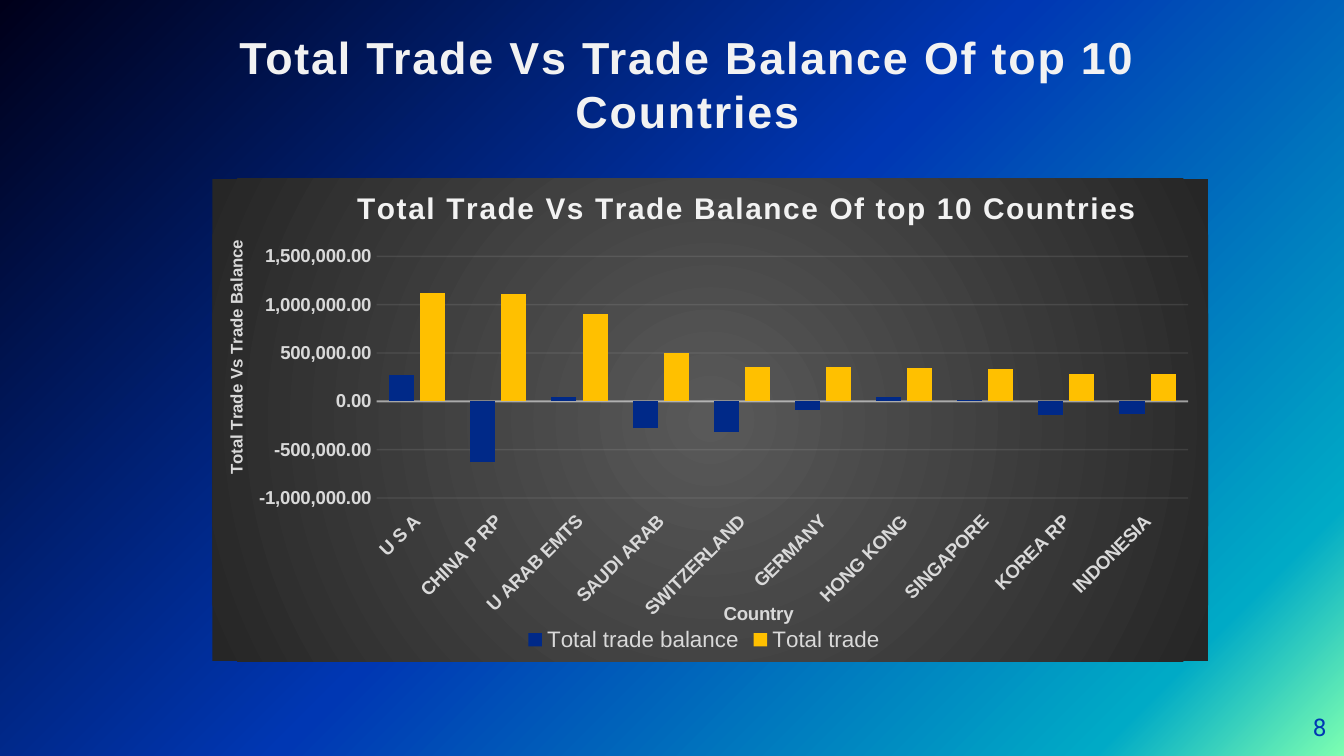
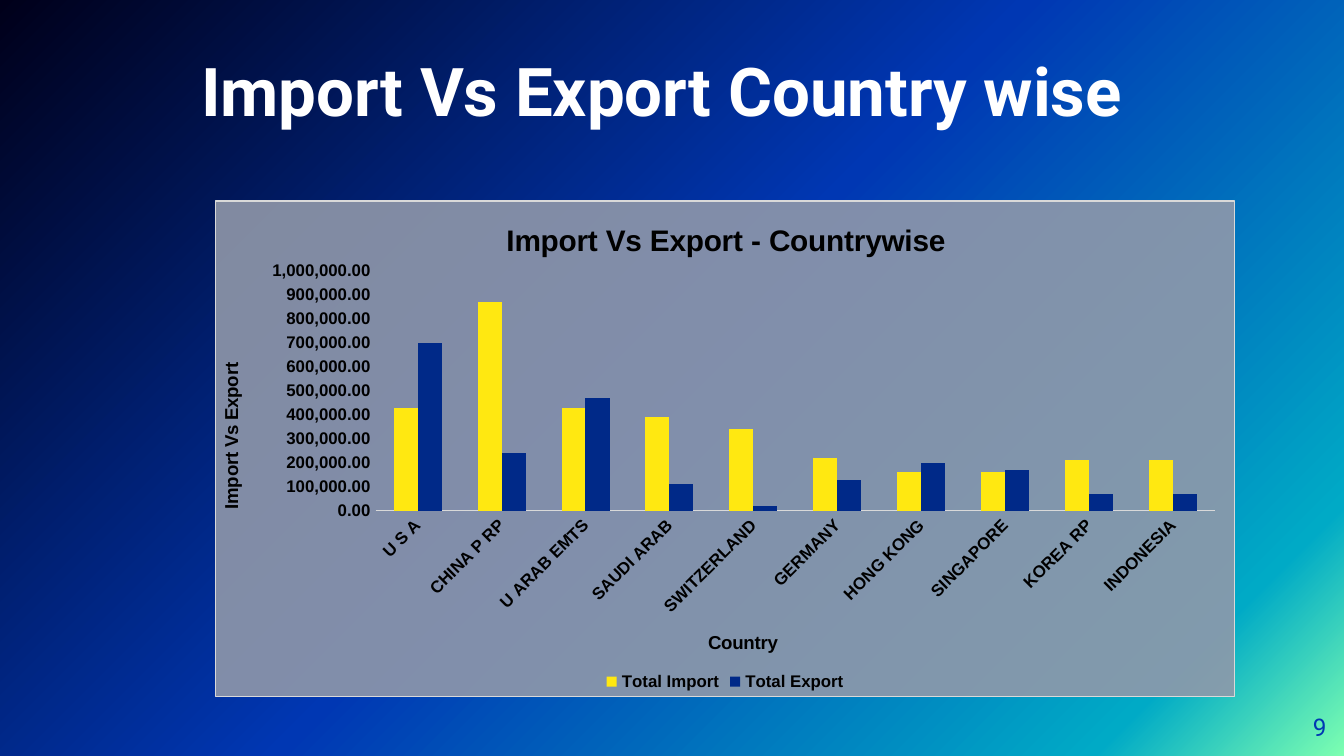
"""Build two slides of column charts that compare trade by country."""

from pptx import Presentation
from pptx.chart.data import CategoryChartData
from pptx.dml.color import RGBColor
from pptx.enum.chart import XL_CHART_TYPE as ChartType
from pptx.enum.chart import XL_LEGEND_POSITION as LegendPosition
from pptx.enum.chart import XL_TICK_LABEL_POSITION as LabelPosition
from pptx.enum.chart import XL_TICK_MARK as TickMark
from pptx.enum.text import MSO_ANCHOR as Anchor
from pptx.enum.text import MSO_AUTO_SIZE as AutoSize
from pptx.enum.text import PP_ALIGN as Align
from pptx.oxml import parse_xml
from pptx.oxml.ns import nsdecls, qn
from pptx.util import Emu, Pt

PX = 4572

WHITE = RGBColor(0xFF, 0xFF, 0xFF)
BLACK = RGBColor(0x00, 0x00, 0x00)
PALE = RGBColor(0xF2, 0xF2, 0xF2)
SILVER = RGBColor(0xD9, 0xD9, 0xD9)
GREY = RGBColor(0x59, 0x59, 0x59)
CHARCOAL = RGBColor(0x26, 0x26, 0x26)
SLATE = RGBColor(0x91, 0x99, 0xAA)
MINT = RGBColor(0x7D, 0xFF, 0xB1)
TEAL = RGBColor(0x00, 0xAA, 0xC6)
BLUE = RGBColor(0x00, 0x37, 0xB3)
NAVY = RGBColor(0x00, 0x29, 0x88)
MIDNIGHT = RGBColor(0x00, 0x00, 0x1A)
AMBER = RGBColor(0xFF, 0xC0, 0x00)
YELLOW = RGBColor(0xFF, 0xE8, 0x11)

COUNTRIES = ["U S A", "CHINA P RP", "U ARAB EMTS", "SAUDI ARAB", "SWITZERLAND",
             "GERMANY", "HONG KONG", "SINGAPORE", "KOREA RP", "INDONESIA"]
NUMBER_FORMAT = "#,##0.00"
LINEAR = '<a:lin ang="13500000" scaled="0"/>'
RADIAL = ('<a:path path="circle"><a:fillToRect l="50000" t="50000" '
          'r="50000" b="50000"/></a:path>')


def px(*lengths):
    return [Emu(length * PX) for length in lengths]


def format_font(font, size, color, bold=False, name="Arial"):
    font.size = Pt(size)
    font.color.rgb = color
    font.bold = bold
    font.name = name


def write_text(frame, text, align=Align.CENTER, spacing=0, **font):
    paragraph = frame.paragraphs[0]
    paragraph.alignment = align
    run = paragraph.add_run()
    run.text = text
    format_font(run.font, **font)
    if spacing:
        run.font._element.set("spc", str(spacing * 100))


def gradient_fill(stops, direction):
    marks = "".join(
        f'<a:gs pos="{position * 1000}"><a:srgbClr val="{color}"/></a:gs>'
        for position, color in stops)
    return parse_xml(f'<a:gradFill {nsdecls("a")} rotWithShape="1">'
                     f'<a:gsLst>{marks}</a:gsLst>{direction}</a:gradFill>')


def solid_fill(color, opacity=100):
    return parse_xml(f'<a:solidFill {nsdecls("a")}><a:srgbClr val="{color}">'
                     f'<a:alpha val="{opacity * 1000}"/></a:srgbClr></a:solidFill>')


def place(element, x, y, width=None, height=None):
    """Give a chart part a manual layout in fractions of the chart area."""
    for layout in element.findall(qn("c:layout")):
        element.remove(layout)
    values = {"xMode": "edge", "yMode": "edge", "x": x, "y": y}
    if width:
        values = {"layoutTarget": "inner", **values, "w": width, "h": height}
    parts = "".join(f'<c:{tag} val="{value}"/>' for tag, value in values.items())
    layout = parse_xml(f'<c:layout {nsdecls("c")}><c:manualLayout>{parts}'
                       '</c:manualLayout></c:layout>')
    element.insert(len(element.xpath("c:tx | c:legendPos")), layout)


class Deck:
    """Holds the shared style and the current slide."""

    def __init__(self):
        self.presentation = Presentation()
        self.presentation.slide_width, self.presentation.slide_height = px(2000, 1125)
        self.slide = None
        master = self.presentation.slide_master
        master.background.fill.solid()
        properties = master.element.find(".//" + qn("p:bgPr"))
        stops = [(0, MINT), (12, TEAL), (51, BLUE), (100, MIDNIGHT)]
        properties.replace(properties[0], gradient_fill(stops, LINEAR))

    def add_slide(self, number):
        layout = self.presentation.slide_layouts[5]
        self.slide = self.presentation.slides.add_slide(layout)
        box = self.slide.shapes.add_textbox(*px(1854, 1038, 120, 86))
        self.set_frame(box.text_frame, Anchor.MIDDLE)
        write_text(box.text_frame, str(number), align=Align.RIGHT,
                   size=13, color=BLUE, name="Roboto")

    def set_frame(self, frame, anchor, inset=0):
        frame.word_wrap = True
        frame.auto_size = AutoSize.NONE
        frame.vertical_anchor = anchor
        frame.margin_left = px(inset)[0]
        frame.margin_top = frame.margin_right = frame.margin_bottom = 0

    def add_title(self, text, box, inset=0, **style):
        title = self.slide.shapes.title
        title.left, title.top, title.width, title.height = px(*box)
        self.set_frame(title.text_frame, Anchor.BOTTOM, inset)
        write_text(title.text_frame, text, bold=True, **style)

    def add_chart(self, box, series, plot_area, gap, overlap=0):
        data = CategoryChartData(number_format=NUMBER_FORMAT)
        data.categories = COUNTRIES
        for name, _, thousands in series:
            data.add_series(name, [value * 1000 for value in thousands])
        chart = self.slide.shapes.add_chart(
            ChartType.COLUMN_CLUSTERED, *px(*box), data).chart
        format_font(chart.font, 10, BLACK)
        plot = chart.plots[0]
        plot.gap_width, plot.overlap = gap, overlap
        plot.vary_by_categories = False
        for columns, (_, color, _) in zip(plot.series, series):
            columns.format.fill.solid()
            columns.format.fill.fore_color.rgb = color
            columns.invert_if_negative = False
        place(chart.element.find(".//" + qn("c:plotArea")), *plot_area)
        return chart

    def set_area(self, chart, fill, border=None):
        area = parse_xml(f'<c:spPr {nsdecls("c", "a")}><a:ln w="9525"/></c:spPr>')
        area.insert(0, fill)
        area[1].append(solid_fill(border) if border
                       else parse_xml(f'<a:noFill {nsdecls("a")}/>'))
        chart.element.find(qn("c:chart")).addnext(area)

    def set_heading(self, owner, text, position, **style):
        heading = owner.chart_title if hasattr(owner, "chart_title") else owner.axis_title
        write_text(heading.text_frame, text, bold=True, **style)
        place(heading._element, *position)

    def set_axes(self, chart, size, color, limits, line_width):
        category, value = chart.category_axis, chart.value_axis
        for axis in (category, value):
            axis.major_tick_mark = axis.minor_tick_mark = TickMark.NONE
            format_font(axis.tick_labels.font, size, color, bold=True)
        body = chart.element.xpath(".//c:catAx/c:txPr/a:bodyPr")[0]
        body.set("rot", "-2700000")
        body.set("vert", "horz")
        category.format.line.width = Pt(line_width)
        category.format.line.color.rgb = SILVER
        value.format.line.fill.background()
        value.has_major_gridlines = False
        value.minimum_scale, value.maximum_scale, value.major_unit = limits
        value.tick_labels.number_format = NUMBER_FORMAT
        value.tick_labels.number_format_is_linked = False

    def set_line(self, chart, line, tag, width, color, opacity):
        line.width = Pt(width)
        line.color.rgb = color
        old = chart.element.xpath(f".//{tag}/c:spPr/a:ln/a:solidFill")[0]
        old.getparent().replace(old, solid_fill(color, opacity))

    def set_legend(self, chart, **style):
        chart.has_legend = True
        chart.legend.position = LegendPosition.BOTTOM
        chart.legend.include_in_layout = False
        format_font(chart.legend.font, **style)


def add_balance_slide(deck):
    heading = "Total Trade Vs Trade Balance Of top 10 Countries"
    deck.add_slide(8)
    deck.add_title(heading, (210, 78, 1626, 126), size=24, color=PALE, spacing=1)
    series = [
        ("Total trade balance", NAVY,
         [270, -630, 40, -280, -320, -90, 40, 10, -140, -130]),
        ("Total trade", AMBER,
         [1120, 1110, 900, 500, 360, 360, 350, 330, 280, 280]),
    ]
    chart = deck.add_chart((316, 266, 1482, 718), series,
                           (0.165, 0.161, 0.815, 0.501), gap=100, overlap=-24)
    deck.set_area(chart, gradient_fill([(0, GREY), (100, CHARCOAL)], RADIAL))
    deck.set_axes(chart, 10, SILVER, (-1000000, 1500000, 500000), line_width=1)
    category, value = chart.category_axis, chart.value_axis
    category.tick_label_position = LabelPosition.LOW
    deck.set_line(chart, category.format.line, "c:catAx", 1, PALE, 54)
    deck.set_line(chart, value.major_gridlines.format.line,
                  "c:majorGridlines", 0.75, PALE, 10)
    deck.set_heading(chart, heading, (0.14, 0.01), size=16, color=PALE, spacing=1)
    deck.set_heading(category, "Country", (0.51, 0.87), size=10, color=SILVER)
    deck.set_heading(value, "Total Trade Vs Trade Balance", (0.01, 0.12),
                     size=9, color=SILVER)
    deck.set_legend(chart, size=12, color=SILVER)
    place(chart.legend._element, 0.31, 0.92)


def add_import_export_slide(deck):
    deck.add_slide(9)
    deck.add_title("Import Vs Export Country wise", (100, 74, 1598, 120), inset=172,
                   size=36, color=WHITE, name="Roboto")
    series = [
        ("Total Import", YELLOW, [430, 870, 430, 390, 340, 220, 160, 160, 210, 210]),
        ("Total Export", NAVY, [700, 240, 470, 110, 20, 130, 200, 170, 70, 70]),
    ]
    chart = deck.add_chart((320, 298, 1518, 740), series,
                           (0.157, 0.141, 0.824, 0.484), gap=150)
    deck.set_area(chart, solid_fill(SLATE, 89), border=SILVER)
    deck.set_axes(chart, 9, BLACK, (0, 1000000, 100000), line_width=0.75)
    deck.set_heading(chart, "Import Vs Export - Countrywise", (0.28, 0.03),
                     size=16, color=BLACK)
    deck.set_heading(chart.category_axis, "Country", (0.48, 0.86),
                     size=10, color=BLACK)
    deck.set_heading(chart.value_axis, "Import Vs Export", (0, 0.32),
                     size=10, color=BLACK)
    deck.set_legend(chart, size=9, color=BLACK, bold=True)


def main():
    deck = Deck()
    add_balance_slide(deck)
    add_import_export_slide(deck)
    deck.presentation.save("out.pptx")


if __name__ == "__main__":
    main()
